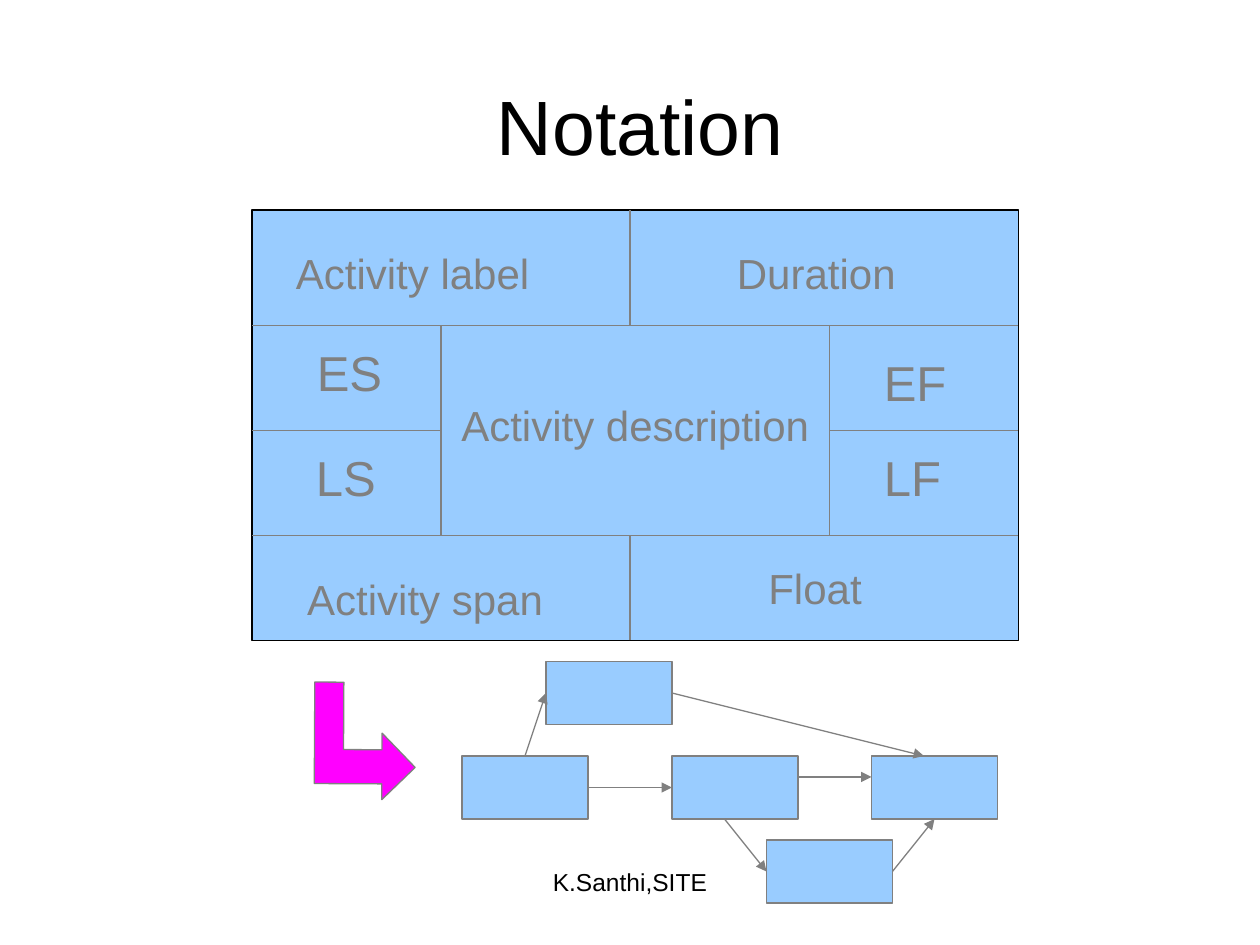
from typing import NamedTuple, Optional

from lxml import etree
from pptx import Presentation
from pptx.dml.color import RGBColor
from pptx.enum.shapes import MSO_CONNECTOR, MSO_SHAPE
from pptx.enum.text import MSO_ANCHOR, MSO_AUTO_SIZE, PP_ALIGN
from pptx.oxml.ns import qn
from pptx.util import Pt

RECTANGLE = MSO_SHAPE.RECTANGLE
STRAIGHT = MSO_CONNECTOR.STRAIGHT
LEFT, CENTER = PP_ALIGN.LEFT, PP_ALIGN.CENTER
TOP, MIDDLE = MSO_ANCHOR.TOP, MSO_ANCHOR.MIDDLE
FIT_SHAPE, NO_FIT = MSO_AUTO_SIZE.SHAPE_TO_FIT_TEXT, MSO_AUTO_SIZE.NONE
SITE_TOP, SITE_LEFT, SITE_BOTTOM, SITE_RIGHT = range(4)

FONT = "Arial"
BLACK, GRAY, BLUE, MAGENTA = "000000", "808080", "99CCFF", "FF00FF"
LINE_WIDTH = 0.75
NODE_WIDTH, NODE_HEIGHT = 72, 36


class Box(NamedTuple):
    left: float
    top: float
    width: float
    height: float


class Rule(NamedTuple):
    x1: float
    y1: float
    x2: float
    y2: float
    color: str = GRAY


class Label(NamedTuple):
    text: str
    box: Box
    size: float = 24
    fill: Optional[str] = None


class Arrow(NamedTuple):
    """An arrow between nodes; an end without a site stays at its point."""
    start: tuple[float, float]
    end: tuple[float, float]
    start_node: Optional[str] = None
    start_site: int = SITE_RIGHT
    end_node: Optional[str] = None
    end_site: int = SITE_LEFT


# Cell borders of the notation box
X1, X2, X3, X4, X5 = 144, 252, 360, 474, 582
Y1, Y2, Y3, Y4, Y5 = 120, 186, 246, 306, 366

RULES = [
    Rule(X1, Y2, X5, Y2),
    Rule(X1, Y3, X2, Y3),
    Rule(X1, Y4, X5, Y4),
    Rule(X1, Y5, X5, Y5, BLACK),
    Rule(X3, Y1, X3, Y2),
    Rule(X3, Y5, X3, Y4),
    Rule(X2, Y2, X2, Y4),
    Rule(X4, Y3, X5, Y3),
    Rule(X4, Y2, X4, Y4),
]
LABELS = [
    Label("Activity label", Box(162, 138, 148, 36)),
    Label("Duration", Box(414, 138, 106, 36), fill=BLUE),
    Label("ES", Box(174, 192, 53, 41), 28),
    Label("LS", Box(173.5, 252, 50, 41), 28),
    Label("EF", Box(498, 198, 51, 41), 28),
    Label("LF", Box(498, 252, 49, 41), 28),
    Label("Activity span", Box(168.5, 324, 150, 36)),
    Label("Float", Box(432, 318, 69, 36)),
]
NODES = {
    "middle": (384, 432),
    "first": (264, 432),
    "upper": (312, 378),
    "last": (498, 432),
    "lower": (438, 480),
}
ARROWS = [
    Arrow((336, 450), (384, 450), start_node="first", end_node="middle"),
    Arrow((300, 432), (312, 396), start_node="first", start_site=SITE_TOP, end_node="upper"),
    Arrow((384, 396), (528, 432), start_node="upper"),
    Arrow((456, 444), (498, 444)),
    Arrow((414, 468), (438, 498), end_node="lower"),
    Arrow((510, 498), (534, 468), start_node="lower", end_node="last", end_site=SITE_BOTTOM),
]
BENT_ARROW_ORIGIN = (175, 394.6)
BENT_ARROW_ROTATION = 90.3
BENT_ARROW = [(0, 41), (38.5, 41), (38.5, 19), (29, 19), (48.5, 0),
              (67, 19), (58, 19), (58, 57.6), (0, 57.6)]


def rgb(color: str) -> RGBColor:
    return RGBColor.from_string(color)


def style_shape(shape, fill: str, line: str) -> None:
    shape.shadow.inherit = False
    shape.fill.solid()
    shape.fill.fore_color.rgb = rgb(fill)
    shape.line.color.rgb = rgb(line)
    shape.line.width = Pt(LINE_WIDTH)


def write_text(shape, text: str, *, size: float, color: str, align=LEFT,
               anchor=TOP, wrap: bool = False, auto_size=NO_FIT) -> None:
    frame = shape.text_frame
    frame.auto_size = auto_size
    frame.word_wrap = wrap
    frame.vertical_anchor = anchor
    paragraph = frame.paragraphs[0]
    paragraph.text = text
    paragraph.alignment = align
    paragraph.font.name = FONT
    paragraph.font.size = Pt(size)
    paragraph.font.color.rgb = rgb(color)


def add_text_box(slide, box: Box):
    return slide.shapes.add_textbox(*map(Pt, box))


def add_rectangle(slide, box: Box, line: str):
    shape = slide.shapes.add_shape(RECTANGLE, *map(Pt, box))
    style_shape(shape, BLUE, line)
    return shape


def add_label(slide, label: Label) -> None:
    shape = add_text_box(slide, label.box)
    if label.fill:
        shape.fill.solid()
        shape.fill.fore_color.rgb = rgb(label.fill)
    write_text(shape, label.text, size=label.size, color=GRAY, auto_size=FIT_SHAPE)


def add_rule(slide, rule: Rule):
    connector = slide.shapes.add_connector(
        STRAIGHT, Pt(rule.x1), Pt(rule.y1), Pt(rule.x2), Pt(rule.y2))
    connector.line.color.rgb = rgb(rule.color)
    connector.line.width = Pt(LINE_WIDTH)
    etree.SubElement(connector._element.spPr, qn("a:effectLst"))
    return connector


def add_arrow(slide, arrow: Arrow, nodes: dict) -> None:
    connector = add_rule(slide, Rule(*arrow.start, *arrow.end))
    etree.SubElement(connector.line._get_or_add_ln(), qn("a:tailEnd"), type="triangle")
    if arrow.start_node:
        connector.begin_connect(nodes[arrow.start_node], arrow.start_site)
    if arrow.end_node:
        connector.end_connect(nodes[arrow.end_node], arrow.end_site)


def add_bent_arrow(slide) -> None:
    left, top = BENT_ARROW_ORIGIN
    points = [(Pt(left + x), Pt(top + y)) for x, y in BENT_ARROW]
    builder = slide.shapes.build_freeform(*points[0])
    builder.add_line_segments(points[1:], close=True)
    shape = builder.convert_to_shape()
    style_shape(shape, MAGENTA, GRAY)
    shape.rotation = BENT_ARROW_ROTATION


def main() -> None:
    presentation = Presentation()
    presentation.slide_width, presentation.slide_height = Pt(720), Pt(540)
    slide = presentation.slides.add_slide(presentation.slide_layouts[6])

    write_text(add_text_box(slide, Box(60, 26, 612, 90)), "Notation", size=44,
               color=BLACK, align=CENTER, anchor=MIDDLE, wrap=True)

    notation = add_rectangle(slide, Box(X1, Y1, X5 - X1, Y5 - Y1), BLACK)
    write_text(notation, "Activity description", size=24, color=GRAY,
               align=CENTER, anchor=MIDDLE)
    for rule in RULES:
        add_rule(slide, rule)
    for label in LABELS:
        add_label(slide, label)

    nodes = {name: add_rectangle(slide, Box(*corner, NODE_WIDTH, NODE_HEIGHT), GRAY)
             for name, corner in NODES.items()}
    for arrow in ARROWS:
        add_arrow(slide, arrow, nodes)
    add_bent_arrow(slide)

    write_text(add_text_box(slide, Box(246, 492, 228, 37.5)), "K.Santhi,SITE",
               size=14, color=BLACK, align=CENTER, wrap=True)
    presentation.save("out.pptx")


if __name__ == "__main__":
    main()
